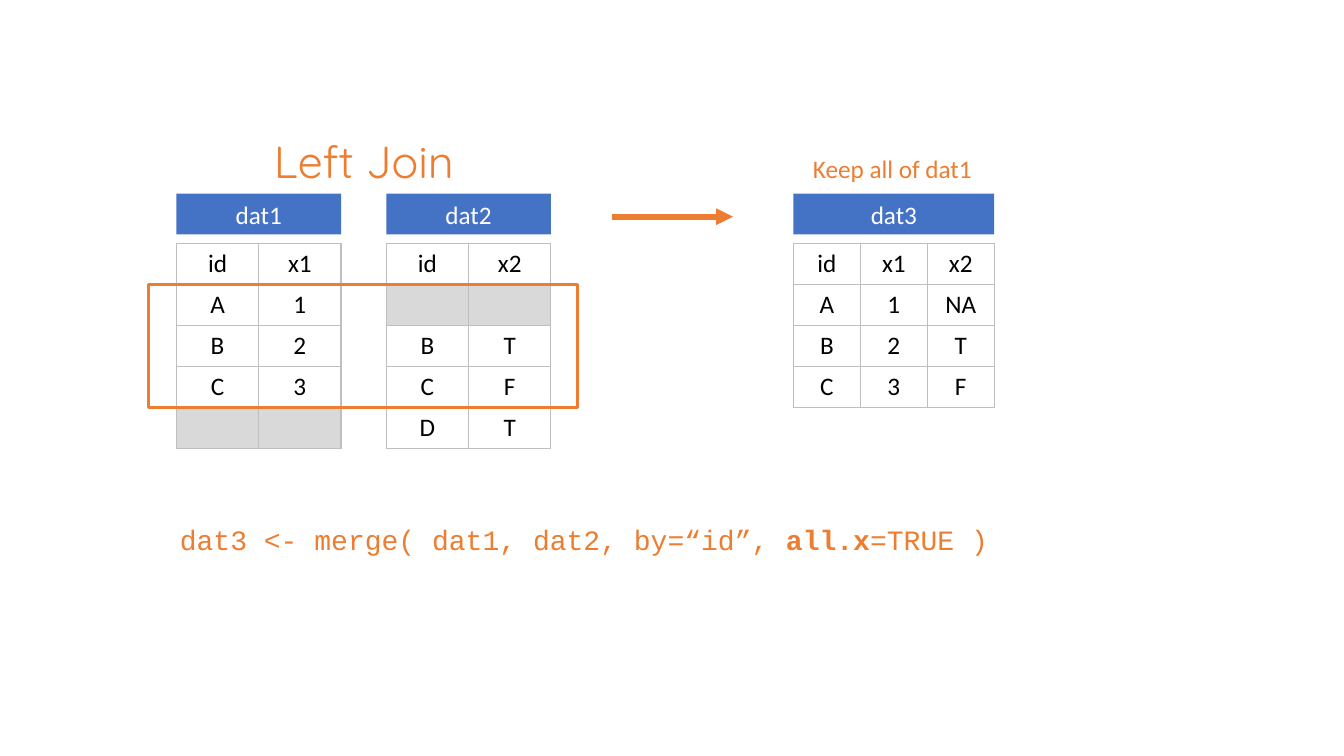
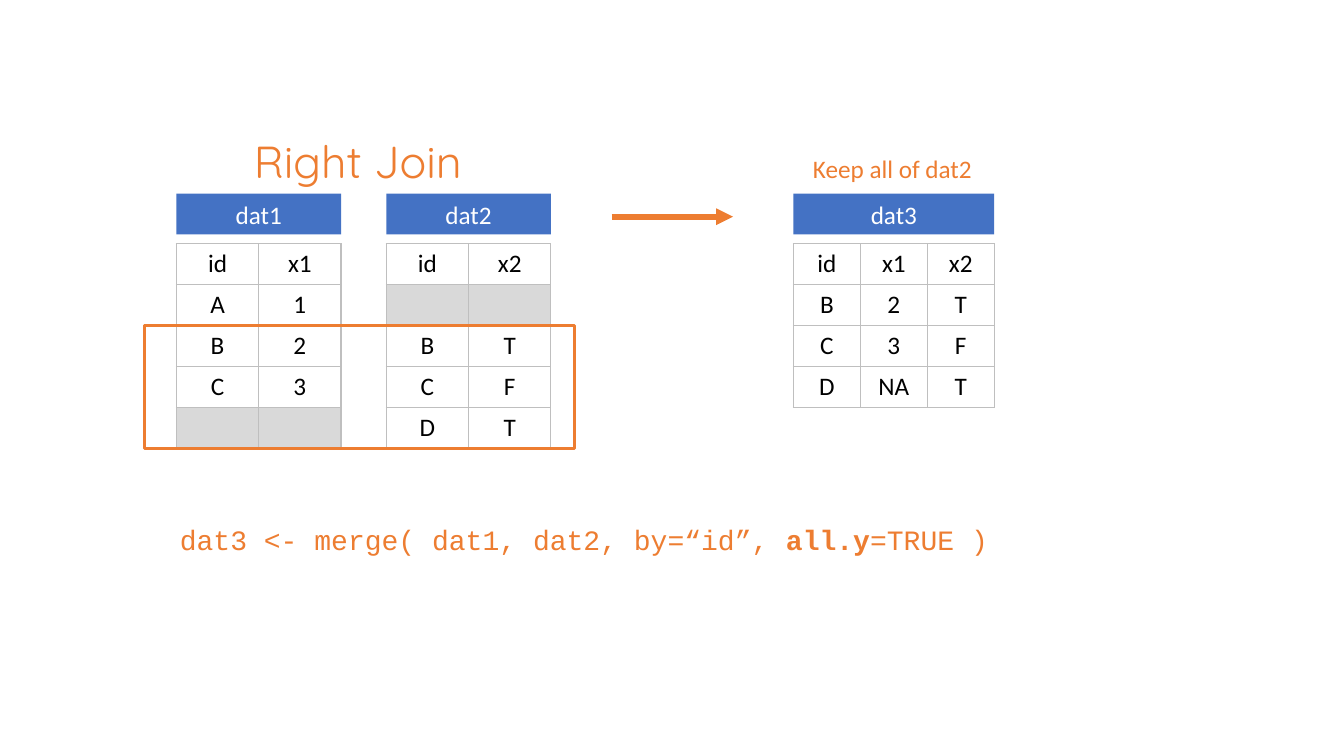
from lxml import etree
from pptx import Presentation
from pptx.dml.color import RGBColor
from pptx.enum.shapes import MSO_CONNECTOR, MSO_SHAPE
from pptx.enum.text import MSO_ANCHOR, MSO_AUTO_SIZE, PP_ALIGN
from pptx.oxml.ns import qn
from pptx.util import Pt

RECTANGLE = MSO_SHAPE.RECTANGLE
STRAIGHT = MSO_CONNECTOR.STRAIGHT
MIDDLE = MSO_ANCHOR.MIDDLE
FIT_SHAPE = MSO_AUTO_SIZE.SHAPE_TO_FIT_TEXT
LEFT, CENTER = PP_ALIGN.LEFT, PP_ALIGN.CENTER

# Content: an empty string marks a row without a match
DAT1 = [("id", "x1"), ("A", "1"), ("B", "2"), ("C", "3"), ("", "")]
DAT2 = [("id", "x2"), ("", ""), ("B", "T"), ("C", "F"), ("D", "T")]
JOINS = [
    {
        "title": "Left Join", "title_left": 188.6, "title_width": 143.3,
        "note": "Keep all of dat1", "argument": "all.x",
        "frame_left": 106, "first_kept_row": 1,
        "result": [("id", "x1", "x2"), ("A", "1", "NA"),
                   ("B", "2", "T"), ("C", "3", "F")],
    },
    {
        "title": "Right Join", "title_left": 174.2, "title_width": 164.9,
        "note": "Keep all of dat2", "argument": "all.y",
        "frame_left": 103.5, "first_kept_row": 2,
        "result": [("id", "x1", "x2"), ("B", "2", "T"),
                   ("C", "3", "F"), ("D", "NA", "T")],
    },
]
CALL_START = "dat3 <- merge( dat1, dat2, by=“id”, "
CALL_END = "=TRUE )"

# Shared style and layout
COLORS = {"accent": "ED7D31", "header": "4472C4", "border": "BFBFBF",
          "missing": "D9D9D9", "text": "000000", "header_text": "FFFFFF"}
BODY_FONT, CODE_FONT, TITLE_FONT = "Calibri", "Courier New", "Quicksand"
BODY_SIZE, CODE_SIZE, TITLE_SIZE = 18, 20, 32
HEADER_TOP, HEADER_HEIGHT = 138.4, 29.1
TABLE_TOP, ROW_HEIGHT = 174.2, 29.2
DAT1_LEFT, DAT2_LEFT, DAT3_LEFT = 126, 275.9, 566.8
SOURCE_COLUMN, RESULT_COLUMN = 58.8, 47.8
FRAME_WIDTH, KEPT_ROWS = 306.7, 3
ARROW_START, ARROW_END, ARROW_Y = 436.8, 523.6, 154.8


def color(name):
    return RGBColor.from_string(COLORS[name])


def write(text_frame, parts, font, size, color_name, alignment):
    """Write (text, bold) parts as the runs of one paragraph."""
    paragraph = text_frame.paragraphs[0]
    paragraph.alignment = alignment
    paragraph.font.size = Pt(size)
    for text, bold in parts:
        run = paragraph.add_run()
        run.text = text
        run.font.name = font
        run.font.size = Pt(size)
        run.font.bold = bold
        run.font.color.rgb = color(color_name)


def add_text(slide, box, parts, font, size, wrap=False):
    shape = slide.shapes.add_textbox(*map(Pt, box))
    text_frame = shape.text_frame
    text_frame.word_wrap = wrap
    text_frame.auto_size = FIT_SHAPE
    write(text_frame, parts, font, size, "accent", LEFT)


def add_rectangle(slide, left, top, width, height):
    shape = slide.shapes.add_shape(RECTANGLE, Pt(left), Pt(top), Pt(width), Pt(height))
    shape.shadow.inherit = False
    return shape


def add_borders(cell):
    properties = cell._tc.get_or_add_tcPr()
    for position, side in enumerate(("a:lnL", "a:lnR", "a:lnT", "a:lnB")):
        line = etree.Element(qn(side), w=str(Pt(1)))
        fill = etree.SubElement(line, qn("a:solidFill"))
        etree.SubElement(fill, qn("a:srgbClr"), val=COLORS["border"])
        properties.insert(position, line)


def add_dataset(slide, name, rows, left, column_width):
    """Add a table with its name bar above."""
    width = column_width * len(rows[0])
    frame = slide.shapes.add_table(len(rows), len(rows[0]), Pt(left), Pt(TABLE_TOP),
                                   Pt(width), Pt(ROW_HEIGHT * len(rows)))
    table = frame.table
    table.first_row = table.horz_banding = False
    for column in table.columns:
        column.width = Pt(column_width)
    for row, values in zip(table.rows, rows):
        row.height = Pt(ROW_HEIGHT)
        for cell, value in zip(row.cells, values):
            if value:
                cell.fill.background()
            else:
                cell.fill.solid()
                cell.fill.fore_color.rgb = color("missing")
            add_borders(cell)
            parts = [(value, False)] if value else []
            write(cell.text_frame, parts, BODY_FONT, BODY_SIZE, "text", CENTER)

    header = add_rectangle(slide, left, HEADER_TOP, width, HEADER_HEIGHT)
    header.fill.solid()
    header.fill.fore_color.rgb = color("header")
    header.line.fill.background()
    header.text_frame.word_wrap = True
    header.text_frame.auto_size = FIT_SHAPE
    header.text_frame.vertical_anchor = MIDDLE
    write(header.text_frame, [(name, False)], BODY_FONT, BODY_SIZE, "header_text", CENTER)


def add_kept_frame(slide, left, first_row):
    frame = add_rectangle(slide, left, TABLE_TOP + first_row * ROW_HEIGHT,
                          FRAME_WIDTH, KEPT_ROWS * ROW_HEIGHT)
    frame.fill.background()
    frame.line.color.rgb = color("accent")
    frame.line.width = Pt(2)


def add_arrow(slide):
    arrow = slide.shapes.add_connector(STRAIGHT, Pt(ARROW_START), Pt(ARROW_Y),
                                       Pt(ARROW_END), Pt(ARROW_Y))
    arrow.line.color.rgb = color("accent")
    arrow.line.width = Pt(4)
    etree.SubElement(arrow.line._get_or_add_ln(), qn("a:tailEnd"), type="triangle")
    etree.SubElement(arrow._element.spPr, qn("a:effectLst"))


def add_join_slide(presentation, join):
    slide = presentation.slides.add_slide(presentation.slide_layouts[6])
    # Source tables and the rows that are kept
    add_dataset(slide, "dat1", DAT1, DAT1_LEFT, SOURCE_COLUMN)
    add_dataset(slide, "dat2", DAT2, DAT2_LEFT, SOURCE_COLUMN)
    add_kept_frame(slide, join["frame_left"], join["first_kept_row"])
    add_text(slide, (join["title_left"], 92.2, join["title_width"], 46),
             [(join["title"], False)], TITLE_FONT, TITLE_SIZE)
    # Result, code and note
    add_dataset(slide, "dat3", join["result"], DAT3_LEFT, RESULT_COLUMN)
    call = [(CALL_START, False), (join["argument"], True), (CALL_END, False)]
    add_text(slide, (121.4, 369.4, 631.4, 31.5), call, CODE_FONT, CODE_SIZE, wrap=True)
    add_arrow(slide)
    add_text(slide, (573.6, 106, 129.4, 29.1), [(join["note"], False)],
             BODY_FONT, BODY_SIZE)


presentation = Presentation()
presentation.slide_width, presentation.slide_height = Pt(960), Pt(540)
for join in JOINS:
    add_join_slide(presentation, join)
presentation.save("out.pptx")
